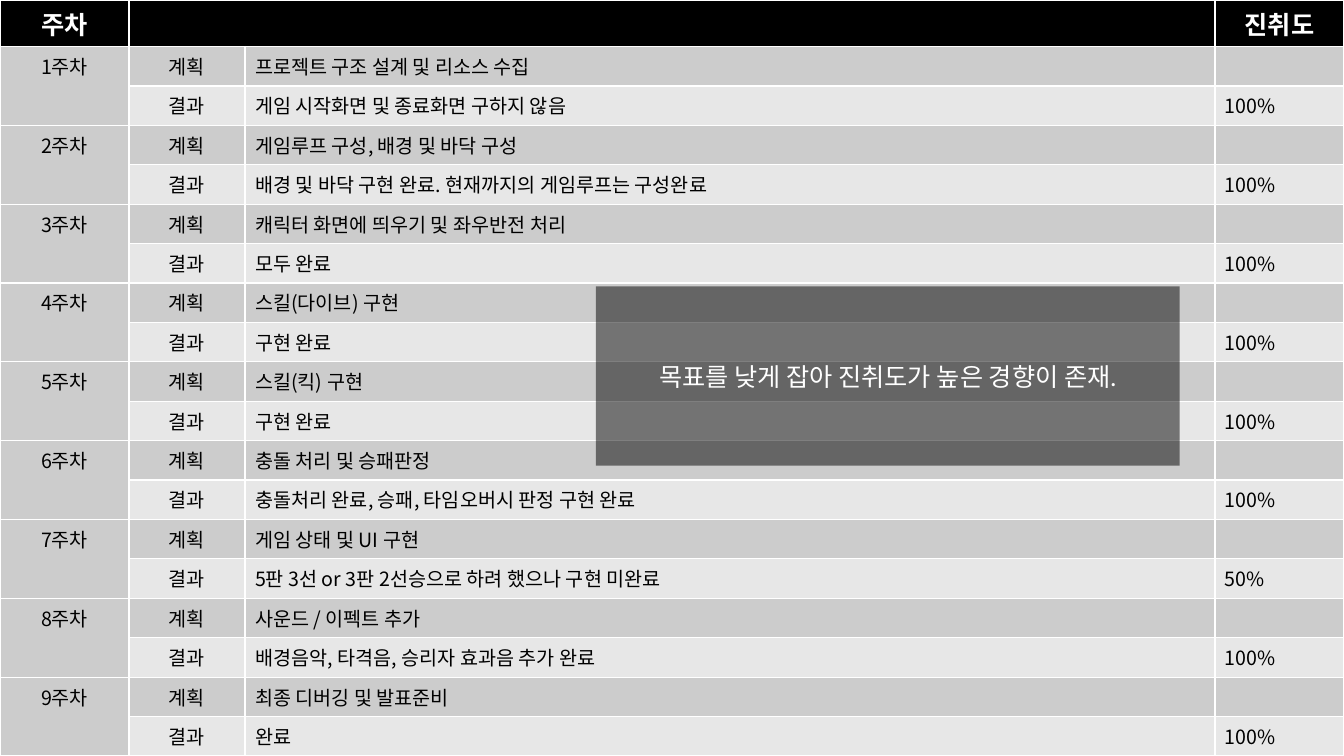
from lxml.etree import SubElement
from pptx import Presentation
from pptx.dml.color import RGBColor
from pptx.enum.shapes import MSO_SHAPE as Shape
from pptx.enum.text import MSO_ANCHOR as Anchor, PP_ALIGN as Align
from pptx.oxml.ns import qn
from pptx.util import Inches, Pt

COLORS = {"black": "000000", "white": "FFFFFF", "plan": "CCCCCC", "result": "E7E7E7"}
FONT = "Noto Sans CJK KR"
WIDTH, HEIGHT = 13.33, 7.5
COLUMNS = [1.28, 1.15, 9.62, 1.28]
HEADER_HEIGHT = 0.46

WEEKS = [
    ("프로젝트 구조 설계 및 리소스 수집", "게임 시작화면 및 종료화면 구하지 않음", "100%"),
    ("게임루프 구성, 배경 및 바닥 구성", "배경 및 바닥 구현 완료. 현재까지의 게임루프는 구성완료", "100%"),
    ("캐릭터 화면에 띄우기 및 좌우반전 처리", "모두 완료", "100%"),
    ("스킬(다이브) 구현", "구현 완료", "100%"),
    ("스킬(킥) 구현", "구현 완료", "100%"),
    ("충돌 처리 및 승패판정", "충돌처리 완료, 승패, 타임오버시 판정 구현 완료", "100%"),
    ("게임 상태 및 UI 구현", "5판 3선 or 3판 2선승으로 하려 했으나 구현 미완료", "50%"),
    ("사운드 / 이펙트 추가", "배경음악, 타격음, 승리자 효과음 추가 완료", "100%"),
    ("최종 디버깅 및 발표준비", "완료", "100%"),
]


def write(frame, text, size=14, color="black", bold=False, align=Align.LEFT, font=FONT):
    paragraph = frame.paragraphs[0]
    paragraph.alignment = align
    if not text:
        SubElement(paragraph._p, qn("a:endParaRPr"), sz=str(size * 100))
        return
    run = paragraph.add_run()
    run.text = text
    run.font.size = Pt(size)
    run.font.bold = bold
    run.font.color.rgb = RGBColor.from_string(COLORS[color])
    run.font.name = font
    SubElement(run.font._element, qn("a:ea"), typeface=FONT)


def paint(target, color):
    target.fill.solid()
    target.fill.fore_color.rgb = RGBColor.from_string(COLORS[color])


presentation = Presentation()
presentation.slide_width = Inches(WIDTH)
presentation.slide_height = Inches(HEIGHT)
slide = presentation.slides.add_slide(presentation.slide_layouts[6])
paint(slide.background, "black")

rows = [("주차", "", "", "진취도")]
for number, (plan, result, progress) in enumerate(WEEKS, 1):
    rows.append((f"{number}주차", "계획", plan, ""))
    rows.append(("", "결과", result, progress))

table = slide.shapes.add_table(
    len(rows), len(COLUMNS), 0, 0, Inches(WIDTH), Inches(HEIGHT)
).table
for column, width in zip(table.columns, COLUMNS):
    column.width = Inches(width)
for row in table.rows:
    row.height = Inches((HEIGHT - HEADER_HEIGHT) / (len(rows) - 1))
table.rows[0].height = Inches(HEADER_HEIGHT)

for row_index, values in enumerate(rows):
    header = row_index == 0
    fill = "black" if header else "plan" if row_index % 2 else "result"
    for column_index, value in enumerate(values):
        cell = table.cell(row_index, column_index)
        paint(cell, fill)
        write(
            cell.text_frame,
            value,
            size=18 if header else 14,
            color="white" if header else "black",
            bold=header,
            align=Align.CENTER if header or column_index < 2 else Align.LEFT,
        )

table.cell(0, 1).merge(table.cell(0, 2))
for row_index in range(1, len(rows), 2):
    table.cell(row_index, 0).merge(table.cell(row_index + 1, 0))

remark = slide.shapes.add_shape(
    Shape.RECTANGLE, Inches(5.91), Inches(2.84), Inches(5.79), Inches(1.78)
)
remark.shadow.inherit = False
remark.line.fill.background()
paint(remark, "black")
SubElement(remark.fill._xPr.find(".//" + qn("a:srgbClr")), qn("a:alpha"), val="50000")
remark.text_frame.word_wrap = True
remark.text_frame.vertical_anchor = Anchor.MIDDLE
write(
    remark.text_frame,
    "목표를 낮게 잡아 진취도가 높은 경향이 존재.",
    size=18,
    color="white",
    align=Align.CENTER,
    font="Lato",
)

presentation.save("out.pptx")
